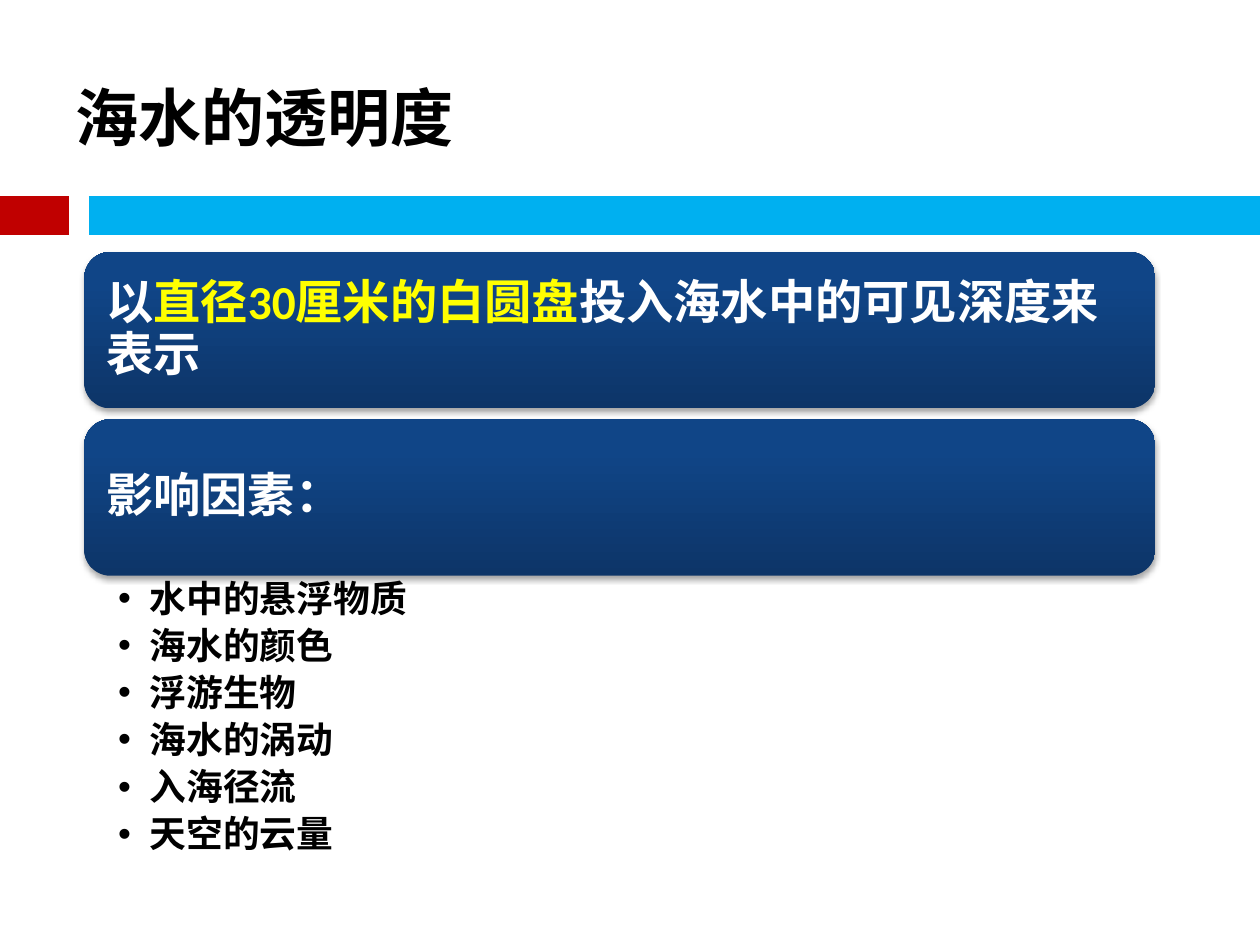
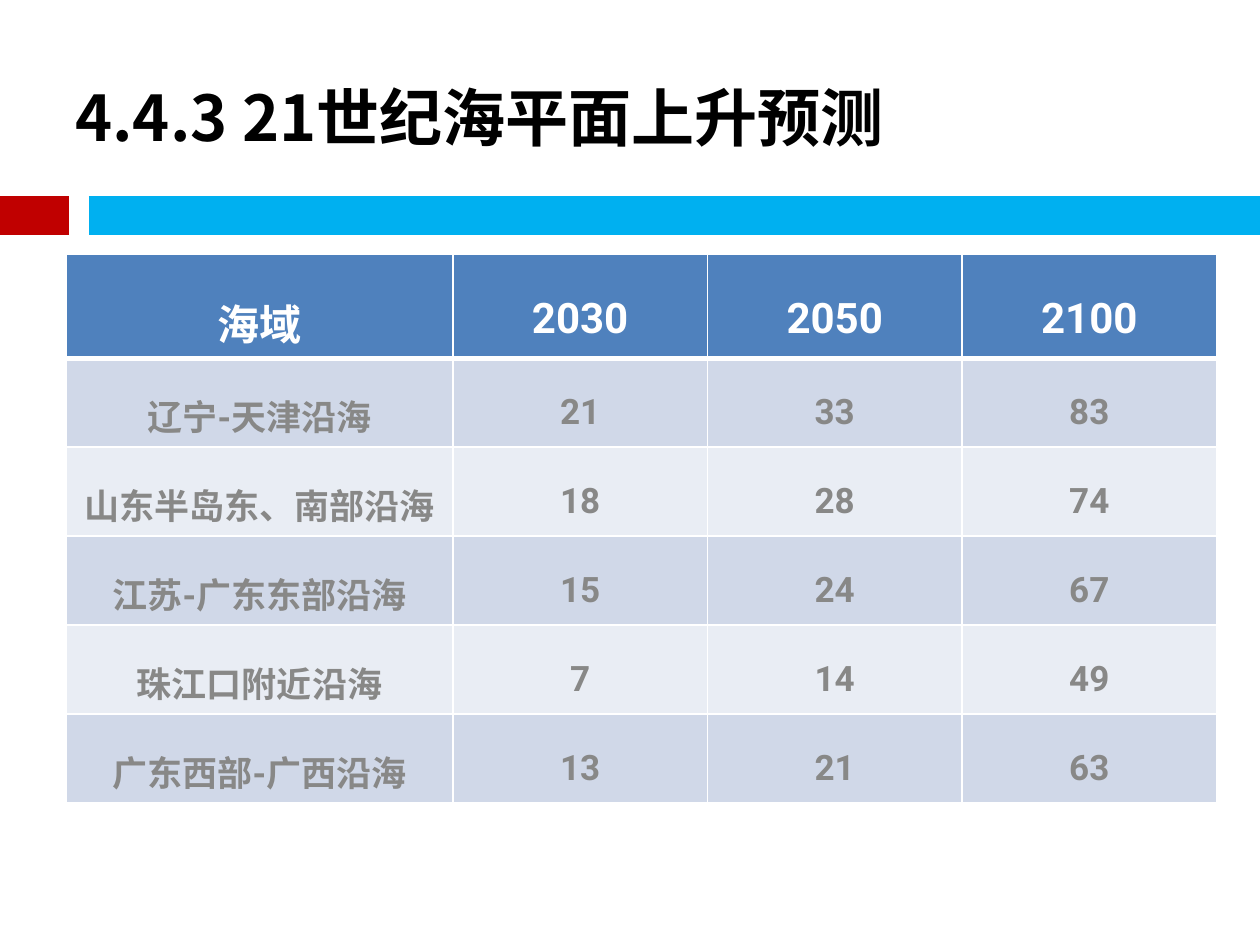
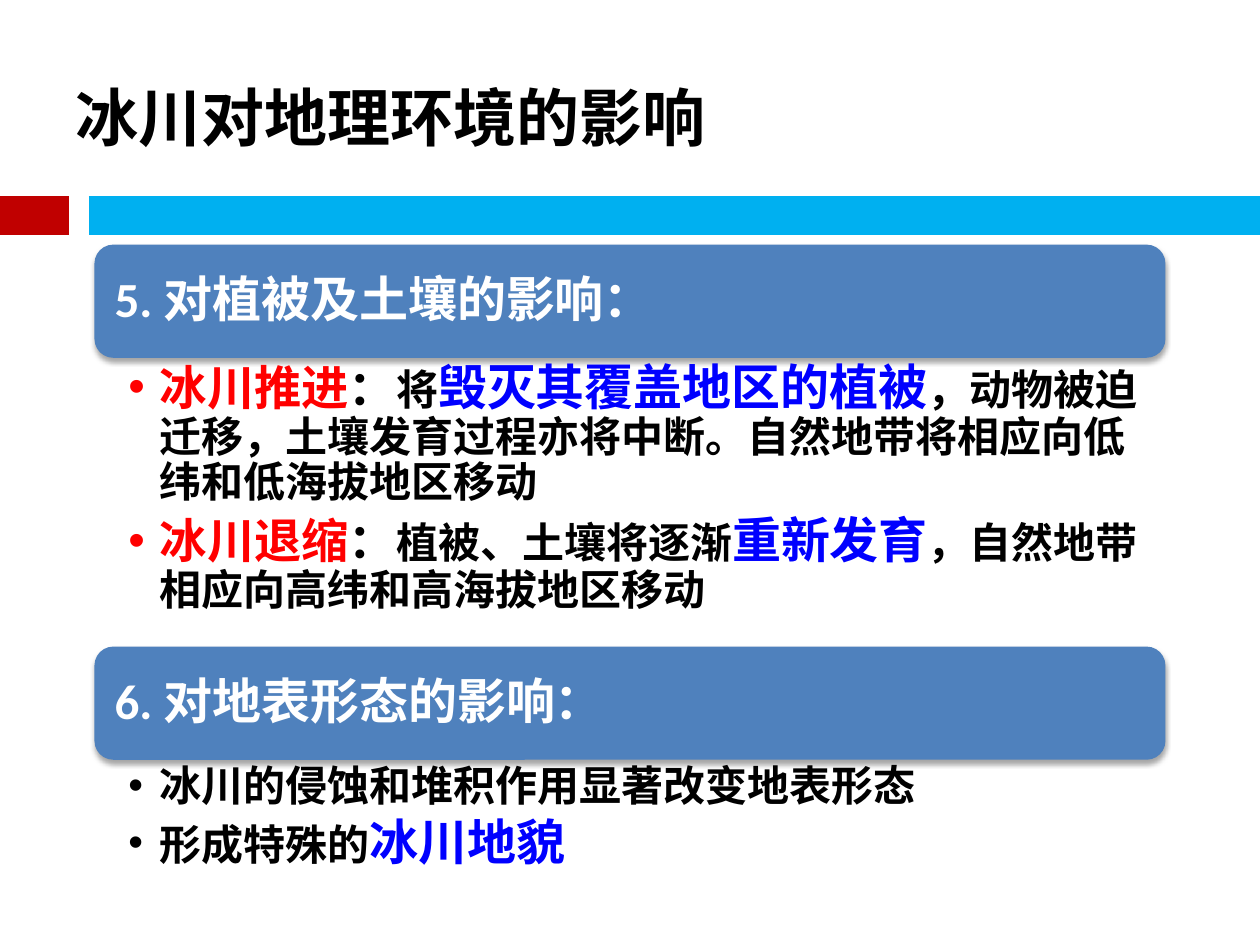
from lxml.etree import SubElement
from pptx import Presentation
from pptx.dml.color import RGBColor
from pptx.enum.lang import MSO_LANGUAGE_ID as Language
from pptx.enum.shapes import MSO_CONNECTOR as Connector, MSO_SHAPE as Shape
from pptx.enum.text import MSO_ANCHOR as Anchor, PP_ALIGN as Align
from pptx.oxml.ns import qn
from pptx.util import Pt

BLACK = RGBColor(0x00, 0x00, 0x00)
WHITE = RGBColor(0xFF, 0xFF, 0xFF)
GRAY = RGBColor(0x88, 0x88, 0x87)
RED = RGBColor(0xFF, 0x00, 0x00)
BLUE = RGBColor(0x00, 0x00, 0xFF)
YELLOW = RGBColor(0xFF, 0xFF, 0x00)
BAND_RED = RGBColor(0xC0, 0x00, 0x00)
BAND_CYAN = RGBColor(0x00, 0xB0, 0xF0)
STEEL = RGBColor(0x4F, 0x81, 0xBD)
ROW_DARK = RGBColor(0xD0, 0xD8, 0xE8)
ROW_LIGHT = RGBColor(0xE9, 0xED, 0xF4)
NAVY_STOPS = [
    (0, RGBColor(0x0D, 0x35, 0x68)),
    (80, RGBColor(0x10, 0x45, 0x87)),
    (100, RGBColor(0x0E, 0x45, 0x8A)),
]

HEADING_FONT = "Noto Sans CJK SC"
BODY_FONT = "Calibri"
TABLE_FONT = "Roboto"

BAND_Y = 123.1
PANEL_WIDTH = 612


def add_color(parent, color):
    return SubElement(parent, qn("a:srgbClr"), val=str(color))


def set_font(paragraph, name, size, color, asian_name=None):
    font = paragraph.font
    font.name, font.size, font.bold = name, Pt(size), True
    font.color.rgb = color
    font.language_id = Language.SIMPLIFIED_CHINESE
    properties = paragraph._p.pPr.find(qn("a:defRPr"))
    SubElement(properties, qn("a:ea"), typeface=asian_name or name)


def set_spacing(paragraph, after_percent):
    """Tight lines, with the space after given as a share of the text size."""
    paragraph.line_spacing = 0.9
    after = SubElement(paragraph._p.pPr, qn("a:spcAft"))
    SubElement(after, qn("a:spcPct"), val=str(after_percent * 1000))


def add_bullet(paragraph):
    properties = paragraph._p.get_or_add_pPr()
    properties.set("marL", str(Pt(18)))
    properties.set("indent", str(Pt(-18)))
    SubElement(properties, qn("a:buFont"), typeface="Arial")
    SubElement(properties, qn("a:buChar"), char="•")


def add_runs(paragraph, content):
    """Add a plain string, or a list of (text, size, color); None inherits."""
    runs = [(content, None, None)] if isinstance(content, str) else content
    for text, size, color in runs:
        run = paragraph.add_run()
        run.text = text
        if size:
            run.font.size = Pt(size)
        if color:
            run.font.color.rgb = color


def set_frame(frame, insets, anchor):
    frame.word_wrap = True
    frame.vertical_anchor = anchor
    (frame.margin_left, frame.margin_top,
     frame.margin_right, frame.margin_bottom) = map(Pt, insets)


def add_soft_shadow(shape):
    shape.shadow.inherit = False
    effects = shape._element.spPr.find(qn("a:effectLst"))
    shadow = SubElement(effects, qn("a:outerShdw"), blurRad=str(Pt(3.1)),
                        dist=str(Pt(1.8)), dir="5400000", rotWithShape="0")
    SubElement(add_color(shadow, BLACK), qn("a:alpha"), val="35000")


def set_gradient(shape, stops):
    shape.fill.gradient()
    shape.fill.gradient_angle = 90
    stop_list = shape._element.spPr.find(qn("a:gradFill")).find(qn("a:gsLst"))
    for old_stop in list(stop_list):
        stop_list.remove(old_stop)
    for position, color in stops:
        add_color(SubElement(stop_list, qn("a:gs"), pos=str(position * 1000)), color)


def set_borders(cell, top, bottom):
    properties = cell._tc.get_or_add_tcPr()
    for side, width in (("L", 1), ("R", 1), ("T", top), ("B", bottom)):
        line = SubElement(properties, qn(f"a:ln{side}"), w=str(Pt(width)))
        add_color(SubElement(line, qn("a:solidFill")), WHITE)


class Deck:
    """Holds the presentation and the slide being built."""

    def __init__(self):
        self.presentation = Presentation()
        self.presentation.slide_width = Pt(720)
        self.presentation.slide_height = Pt(540)
        self.slide = None

    def start_slide(self, title):
        layout = self.presentation.slide_layouts[6]
        self.slide = self.presentation.slides.add_slide(layout)
        self.band(0, 39.5, BAND_RED)
        self.band(50.8, 720, BAND_CYAN)
        frame = self.text_box(36, 21.6, 648, 90, (7.2, 3.6, 7.2, 3.6), Anchor.MIDDLE)
        paragraph = frame.paragraphs[0]
        set_font(paragraph, HEADING_FONT, 36, BLACK)
        add_runs(paragraph, title)

    def band(self, left, right, color):
        line = self.slide.shapes.add_connector(
            Connector.STRAIGHT, Pt(left), Pt(BAND_Y), Pt(right), Pt(BAND_Y))
        line.line.color.rgb = color
        line.line.width = Pt(22)
        SubElement(line._element.spPr, qn("a:effectLst"))

    def text_box(self, left, top, width, height, insets, anchor=Anchor.TOP):
        box = self.slide.shapes.add_textbox(Pt(left), Pt(top), Pt(width), Pt(height))
        set_frame(box.text_frame, insets, anchor)
        return box.text_frame

    def panel(self, left, top, height, content, size, gradient=None):
        shape = self.slide.shapes.add_shape(
            Shape.ROUNDED_RECTANGLE, Pt(left), Pt(top), Pt(PANEL_WIDTH), Pt(height))
        if gradient:
            set_gradient(shape, gradient)
        else:
            shape.fill.solid()
            shape.fill.fore_color.rgb = STEEL
        shape.line.fill.background()
        add_soft_shadow(shape)
        set_frame(shape.text_frame, [size * 0.3] * 4, Anchor.MIDDLE)
        paragraph = shape.text_frame.paragraphs[0]
        paragraph.alignment = Align.LEFT
        set_spacing(paragraph, 35)
        set_font(paragraph, BODY_FONT, size, WHITE)
        add_runs(paragraph, content)

    def bullets(self, left, top, height, items, size):
        frame = self.text_box(left, top, PANEL_WIDTH, height, (19.4, 2.8, 15, 2.8))
        for index, item in enumerate(items):
            paragraph = frame.add_paragraph() if index else frame.paragraphs[0]
            set_spacing(paragraph, 20)
            add_bullet(paragraph)
            set_font(paragraph, BODY_FONT, size, BLACK)
            add_runs(paragraph, item)

    def table(self, left, top, column_widths, header_height, row_height, rows):
        table = self.slide.shapes.add_table(
            len(rows), len(column_widths), Pt(left), Pt(top), Pt(sum(column_widths)),
            Pt(header_height + row_height * (len(rows) - 1))).table
        for column, width in zip(table.columns, column_widths):
            column.width = Pt(width)
        for row_index, row in enumerate(rows):
            if row_index == 0:
                height, fill, size, color = header_height, STEEL, 24, WHITE
            else:
                fill = ROW_DARK if row_index % 2 else ROW_LIGHT
                height, size, color = row_height, 20, GRAY
            table.rows[row_index].height = Pt(height)
            for column_index, value in enumerate(row):
                cell = table.cell(row_index, column_index)
                set_borders(cell, top=3 if row_index == 1 else 1,
                            bottom=3 if row_index == 0 else 1)
                cell.fill.solid()
                cell.fill.fore_color.rgb = fill
                cell.vertical_anchor = Anchor.MIDDLE
                paragraph = cell.text_frame.paragraphs[0]
                paragraph.alignment = Align.CENTER
                paragraph.line_spacing = 1.5
                set_font(paragraph, TABLE_FONT, size, color, HEADING_FONT)
                add_runs(paragraph, str(value))


def build_transparency_slide(deck):
    deck.start_slide("海水的透明度")
    definition = [
        ("以", None, None),
        ("直径30厘米的白圆盘", None, YELLOW),
        ("投入海水中的可见深度来表示", None, None),
    ]
    left = 48.2
    for index, content in enumerate([definition, "影响因素："]):
        deck.panel(left, 144 + index * 95.6, 89.4, content, 27, NAVY_STOPS)
    factors = ["水中的悬浮物质", "海水的颜色", "浮游生物",
               "海水的涡动", "入海径流", "天空的云量"]
    deck.bullets(left, 329, 180.7, factors, 21)


def build_sea_level_slide(deck):
    deck.start_slide("4.4.3 21世纪海平面上升预测")
    rows = [
        ("海域", 2030, 2050, 2100),
        ("辽宁-天津沿海", 21, 33, 83),
        ("山东半岛东、南部沿海", 18, 28, 74),
        ("江苏-广东东部沿海", 15, 24, 67),
        ("珠江口附近沿海", 7, 14, 49),
        ("广东西部-广西沿海", 13, 21, 63),
    ]
    deck.table(37.8, 145.5, [221, 145.5, 145.5, 145.5], 59.2, 50.8, rows)


def build_glacier_slide(deck):
    deck.start_slide("冰川对地理环境的影响")
    advance = [
        ("冰川推进", 27, RED), ("：", 27, None), ("将", None, None),
        ("毁灭其覆盖地区的植被", 28, BLUE),
        ("，动物被迫迁移，土壤发育过程亦将中断。"
         "自然地带将相应向低纬和低海拔地区移动", None, None),
    ]
    retreat = [
        ("冰川退缩", 27, RED), ("：", 27, None), ("植被、土壤将逐渐", None, None),
        ("重新发育", 28, BLUE),
        ("，自然地带相应向高纬和高海拔地区移动", None, None),
    ]
    landform = [("形成特殊的", None, None), ("冰川地貌", 28, BLUE)]
    sections = [
        ("5. 对植被及土壤的影响：", [advance, retreat], 165),
        ("6. 对地表形态的影响：",
         ["冰川的侵蚀和堆积作用显著改变地表形态", landform], 73.4),
    ]
    top, panel_height = 139.8, 64.7
    for heading, items, body_height in sections:
        deck.panel(54, top, panel_height, heading, 28)
        deck.bullets(54, top + panel_height, body_height, items, 24)
        top += panel_height + body_height


def main():
    deck = Deck()
    build_transparency_slide(deck)
    build_sea_level_slide(deck)
    build_glacier_slide(deck)
    deck.presentation.save("out.pptx")


if __name__ == "__main__":
    main()
